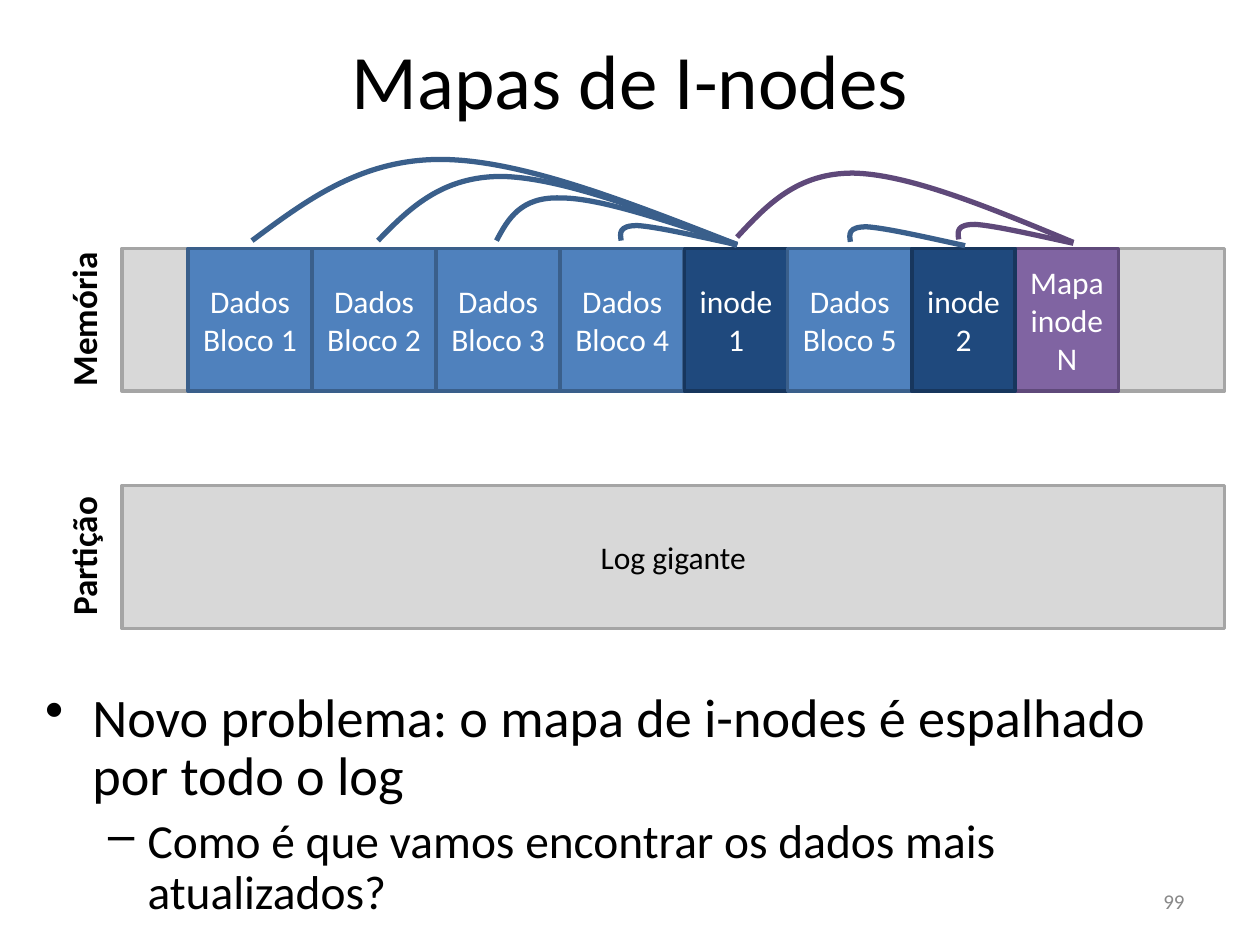
from dataclasses import dataclass

from lxml.etree import SubElement
from pptx import Presentation
from pptx.dml.color import RGBColor
from pptx.enum.shapes import MSO_SHAPE
from pptx.enum.text import MSO_ANCHOR, PP_ALIGN
from pptx.oxml.ns import qn
from pptx.util import Pt

COLORS = {
    "black": "000000",
    "white": "FFFFFF",
    "number": "888888",
    "log": "D8D8D8",
    "log_edge": "A5A5A5",
    "data": "4F81BD",
    "data_edge": "3A5F8B",
    "inode": "1F497D",
    "inode_edge": "17365D",
    "map": "8064A2",
    "map_edge": "5F497A",
}
MEMORY_TOP, PARTITION_TOP, BAR_HEIGHT = 141.9, 277.5, 81.6
BAR_LEFT, BAR_WIDTH, FIRST_BLOCK_LEFT = 69.7, 630, 107.4
BLOCK_WIDTHS = {"data": 70.9, "inode": 59.1, "map": 59.1}


@dataclass
class Block:
    text: str
    kind: str


@dataclass
class Arc:
    start: tuple
    offsets: list
    edge: str


@dataclass
class Bullet:
    text: str
    mark: str
    level: int
    size: float
    margin: float
    hanging: float
    before: float


BLOCKS = [
    *[Block(f"Dados Bloco {number}", "data") for number in range(1, 5)],
    Block("inode\n1", "inode"),
    Block("Dados Bloco 5", "data"),
    Block("inode\n2", "inode"),
    Block("Mapa inode\nN", "map"),
]

HOOK = [(-23, -5), (-45.4, -10.1), (-56.2, -10.8),
        (-67, -10.8), (-66.2, -6.5), (-65.5, -2.2)]
ARCS = [
    Arc((421.2, 139.7), [(-61.2, -23.8), (-122.4, -48.2), (-168.5, -48.6),
                         (-214.6, -49), (-246.2, -25.2), (-277.2, -2.2)], "data_edge"),
    Arc((421.2, 140.4), [(-49.7, -19.4), (-100.1, -38.9), (-134.6, -39.6),
                         (-168.5, -39.6), (-187.2, -21.6), (-205.2, -2.9)], "data_edge"),
    Arc((421.2, 139.7), [(-38.9, -13), (-77.8, -26.6), (-100.8, -26.6),
                         (-123.8, -27.4), (-131, -14.4), (-137.5, -2.2)], "data_edge"),
    Arc((420.5, 139.7), HOOK, "data_edge"),
    Arc((551.5, 140.4), HOOK, "data_edge"),
    Arc((613.4, 139), HOOK, "map_edge"),
    Arc((613.4, 138.5), [(-46.8, -19.4), (-93.6, -39), (-126, -39.6),
                         (-157.7, -39.6), (-175, -21.6), (-192.2, -3)], "map_edge"),
]

BULLETS = [
    Bullet("Novo problema: o mapa de i-nodes é espalhado por todo o log",
           "•", 0, 31, 27, 27, 0),
    Bullet("Como é que vamos encontrar os dados mais atualizados?",
           "–", 1, 27.1, 58.5, 22.5, 5.6),
]


def color(name: str) -> RGBColor:
    return RGBColor.from_string(COLORS[name])


def write(frame, text: str, size: float, ink: str, align=PP_ALIGN.CENTER,
          anchor=MSO_ANCHOR.MIDDLE, bold: bool = False) -> None:
    frame.word_wrap = True
    frame.vertical_anchor = anchor
    frame.text = text
    for para in frame.paragraphs:
        para.alignment = align
        for span in para.runs:
            style(span, size, ink, bold)


def style(span, size: float, ink: str, bold: bool = False) -> None:
    formats = {"name": "Calibri", "size": Pt(size), "bold": bold}
    for name, value in formats.items():
        setattr(span.font, name, value)
    span.font.color.rgb = color(ink)


def outline(shape, edge: str, width: float) -> None:
    shape.shadow.inherit = False
    shape.line.color.rgb = color(edge)
    shape.line.width = Pt(width)


def add_box(page, left: float, top: float, width: float, kind: str,
            text: str = "", ink: str = "white") -> None:
    box = page.shapes.add_shape(
        MSO_SHAPE.RECTANGLE, Pt(left), Pt(top), Pt(width), Pt(BAR_HEIGHT))
    box.fill.solid()
    box.fill.fore_color.rgb = color(kind)
    outline(box, f"{kind}_edge", 2)
    if text:
        write(box.text_frame, text, 18, ink)


def add_text(page, left: float, top: float, width: float, height: float):
    return page.shapes.add_textbox(Pt(left), Pt(top), Pt(width), Pt(height))


def add_blocks(page) -> None:
    left = FIRST_BLOCK_LEFT
    placed = []
    for block in BLOCKS:
        placed.append((left, block))
        left += BLOCK_WIDTHS[block.kind]
    for left, block in sorted(placed, key=lambda item: item[1].kind != "map"):
        add_box(page, left, MEMORY_TOP, BLOCK_WIDTHS[block.kind], block.kind, block.text)


def add_arc(page, arc: Arc) -> None:
    x, y = arc.start
    builder = page.shapes.build_freeform(Pt(x), Pt(y))
    builder.add_line_segments(
        [(Pt(x + dx), Pt(y + dy)) for dx, dy in arc.offsets], close=False)
    curve = builder.convert_to_shape()
    curve.fill.background()
    outline(curve, arc.edge, 3)
    outline_path = next(curve.element.iter(qn("a:path")))
    segments = outline_path.findall(qn("a:lnTo"))
    for first in range(0, len(segments), 3):
        bezier = SubElement(outline_path, qn("a:cubicBezTo"))
        for segment in segments[first:first + 3]:
            bezier.append(segment[0])
            outline_path.remove(segment)


def add_bullet(para, bullet: Bullet) -> None:
    para.level = bullet.level
    properties = para._p.get_or_add_pPr()
    properties.set("marL", str(Pt(bullet.margin)))
    properties.set("indent", str(-Pt(bullet.hanging)))
    tint = SubElement(properties, qn("a:buClr"))
    SubElement(tint, qn("a:srgbClr")).set("val", COLORS["black"])
    SubElement(properties, qn("a:buChar")).set("char", bullet.mark)
    para.line_spacing = 0.9
    if bullet.before:
        para.space_before = Pt(bullet.before)
    span = para.add_run()
    span.text = bullet.text
    style(span, bullet.size, "black")


def main() -> None:
    deck = Presentation()
    deck.slide_width, deck.slide_height = Pt(720), Pt(540)
    page = deck.slides.add_slide(deck.slide_layouts[5])

    title = page.shapes.title
    place = {"left": 36, "top": 0, "width": 648, "height": 90}
    for name, value in place.items():
        setattr(title, name, Pt(value))
    write(title.text_frame, "Mapas de I-nodes", 44, "black")

    add_box(page, BAR_LEFT, MEMORY_TOP, BAR_WIDTH, "log")
    add_box(page, BAR_LEFT, PARTITION_TOP, BAR_WIDTH, "log", "Log gigante", "black")

    for text, top in (("Memória", 167), ("Partição", 302.4)):
        label = add_text(page, -4, top, 103, 31)
        label.rotation = 270
        write(label.text_frame, text, 20, "black", anchor=MSO_ANCHOR.TOP, bold=True)

    add_blocks(page)
    for arc in ARCS:
        add_arc(page, arc)

    body = add_text(page, 18.7, 391, 683.3, 141.8).text_frame
    body.word_wrap = True
    for index, bullet in enumerate(BULLETS):
        add_bullet(body.add_paragraph() if index else body.paragraphs[0], bullet)

    number = add_text(page, 516, 500.5, 168, 28.8)
    write(number.text_frame, "99", 12, "number", PP_ALIGN.RIGHT)
    deck.save("out.pptx")


if __name__ == "__main__":
    main()
